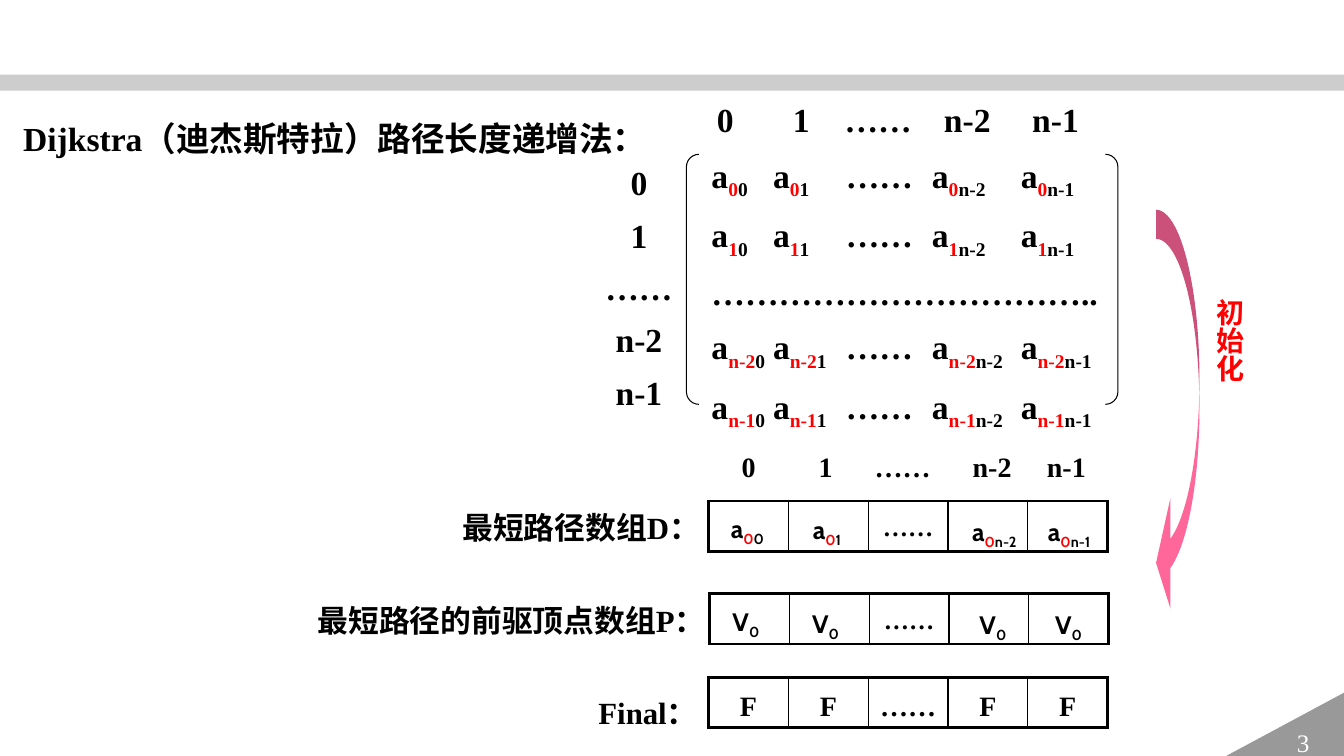
from dataclasses import dataclass
from typing import Optional

from lxml.etree import SubElement
from pptx import Presentation
from pptx.dml.color import RGBColor
from pptx.enum.shapes import MSO_SHAPE as Preset
from pptx.enum.text import MSO_ANCHOR as Anchor, MSO_AUTO_SIZE as AutoSize, PP_ALIGN as Align
from pptx.oxml.ns import qn
from pptx.util import Pt

BLACK, RED, WHITE = "000000", "FF0000", "FFFFFF"
SERIF, SANS = "Times New Roman", "Cabin"
DOTS = "……"
CELL_WIDTH, ROW_HEIGHT = 57, 36
THICK, THIN = 2.25, 1


@dataclass(frozen=True)
class Run:
    text: str
    color: Optional[str] = None
    subscript: bool = False


Line = list[Run]


@dataclass(frozen=True)
class TextBox:
    left: float
    top: float
    width: float
    height: float
    lines: list[Line]
    size: float = 24
    font: str = SERIF
    color: str = BLACK
    align: Align = Align.CENTER
    wrap: bool = True
    vertical: bool = False
    tabs: tuple[float, ...] = ()


@dataclass(frozen=True)
class ArrayTable:
    left: float
    top: float
    values: tuple[str, ...]
    size: float


def color(value: str) -> RGBColor:
    return RGBColor.from_string(value)


def plain(*texts: str) -> list[Line]:
    return [[Run(text)] for text in texts]


def entry(row: str, column: str) -> Line:
    return [Run("a"), Run(row, RED, True), Run(column, None, True)]


def matrix_row(row: str) -> Line:
    tab = Run("\t")
    return [*entry(row, "0"), tab, *entry(row, "1"), Run(f"\t{DOTS}\t"),
            *entry(row, "n-2"), tab, *entry(row, "n-1")]


def write_line(paragraph, line: Line, font: str, size: float, text_color: str,
               align: Align, tabs: tuple[float, ...] = ()) -> None:
    paragraph.alignment = align
    paragraph.line_spacing = 1.3
    if tabs:
        tab_list = SubElement(paragraph._p.get_or_add_pPr(), qn("a:tabLst"))
        for stop in tabs:
            SubElement(tab_list, qn("a:tab"), pos=str(Pt(stop)), algn="l")
    paragraph.font.name = font
    paragraph.font.size = Pt(size)
    paragraph.font.bold = True
    paragraph.font.color.rgb = color(text_color)
    for part in line:
        run = paragraph.add_run()
        run.text = part.text
        if part.color:
            run.font.color.rgb = color(part.color)
        if part.subscript:
            run.font._element.set("baseline", "-25000")


def draw_text(slide, box: TextBox) -> None:
    shape = slide.shapes.add_textbox(Pt(box.left), Pt(box.top), Pt(box.width), Pt(box.height))
    frame = shape.text_frame
    frame.word_wrap = box.wrap
    frame.auto_size = AutoSize.SHAPE_TO_FIT_TEXT
    if box.vertical:
        frame._txBody.bodyPr.set("vert", "eaVert")
    for index, line in enumerate(box.lines):
        paragraph = frame.add_paragraph() if index else frame.paragraphs[0]
        write_line(paragraph, line, box.font, box.size, box.color, box.align, box.tabs)


def draw_shape(slide, preset: Preset, left: float, top: float, width: float, height: float,
               fill: Optional[str] = None, line: Optional[str] = None,
               adjustments: tuple[float, ...] = ()):
    shape = slide.shapes.add_shape(preset, Pt(left), Pt(top), Pt(width), Pt(height))
    shape.shadow.inherit = False
    for index, value in enumerate(adjustments):
        shape.adjustments[index] = value
    if fill:
        shape.fill.solid()
        shape.fill.fore_color.rgb = color(fill)
    else:
        shape.fill.background()
    if line:
        shape.line.color.rgb = color(line)
        shape.line.width = Pt(0.75)
    else:
        shape.line.fill.background()
    return shape


def set_borders(cell, widths: dict[str, float]) -> None:
    properties = cell._tc.get_or_add_tcPr()
    for side, width in widths.items():
        border = SubElement(properties, qn(f"a:{side}"), w=str(Pt(width)))
        fill = SubElement(border, qn("a:solidFill"))
        SubElement(fill, qn("a:srgbClr"), val=BLACK)


def draw_array(slide, array: ArrayTable) -> None:
    count = len(array.values)
    table = slide.shapes.add_table(1, count, Pt(array.left), Pt(array.top),
                                   Pt(CELL_WIDTH * count), Pt(ROW_HEIGHT)).table
    table.first_row = False
    table.horz_banding = False
    for index, value in enumerate(array.values):
        table.columns[index].width = Pt(CELL_WIDTH)
        cell = table.cell(0, index)
        set_borders(cell, {
            "lnL": THICK if index == 0 else THIN,
            "lnR": THICK if index == count - 1 else THIN,
            "lnT": THICK,
            "lnB": THICK,
        })
        cell.fill.background()
        if value:
            write_line(cell.text_frame.paragraphs[0], [Run(value)], SERIF, array.size,
                       BLACK, Align.CENTER)


def draw_frame(slide) -> None:
    bar = draw_shape(slide, Preset.RECTANGLE, 0, 53.3, 960, 11.5, "A6A6A6")
    bar_color = bar._element.spPr.find(qn("a:solidFill")).find(qn("a:srgbClr"))
    SubElement(bar_color, qn("a:alpha"), val="56000")
    corner = draw_shape(slide, Preset.RIGHT_TRIANGLE, 872, 494.6, 88.5, 47.5, "999999")
    corner._element.spPr.find(qn("a:xfrm")).set("flipH", "1")
    corner.text_frame.vertical_anchor = Anchor.MIDDLE
    paragraph = corner.text_frame.paragraphs[0]
    paragraph.text = "3"
    paragraph.alignment = Align.CENTER
    paragraph.font.name = SERIF
    paragraph.font.size = Pt(18)
    paragraph.font.color.rgb = color(WHITE)


INDICES = ("0", "1", DOTS, "n-2", "n-1")
HEADER = plain("".join(f"\t{index}" for index in INDICES))
MATRIX = [matrix_row("0"), matrix_row("1"), [Run("……………………………..")],
          matrix_row("n-2"), matrix_row("n-1")]
V0 = [[Run("V"), Run("0", None, True)]]

ARRAYS = [
    ArrayTable(506.2, 357.8, ("", "", DOTS, "", ""), 18),
    ArrayTable(506.9, 424.1, ("", "", DOTS, "", ""), 18),
    ArrayTable(506.2, 483.8, ("F", "F", DOTS, "F", "F"), 20),
]

TEXTS = [
    TextBox(9.4, 72, 438.5, 41, plain("Dijkstra（迪杰斯特拉）路径长度递增法："), align=Align.LEFT),
    TextBox(501.1, 97.2, 318.2, 196.6, MATRIX, align=Align.LEFT, tabs=(44, 96, 157.5, 221)),
    TextBox(493.2, 58.3, 342, 45.4, HEADER, align=Align.LEFT, tabs=(11.7, 66, 103, 174, 237)),
    TextBox(415.4, 103.7, 82.1, 196.6, plain(*INDICES)),
    TextBox(217.4, 418.3, 295.9, 38.9, plain("最短路径的前驱顶点数组P："), 22),
    TextBox(308.9, 352.1, 212.4, 41.8, plain("最短路径数组D："), 22),
    TextBox(857.5, 206.6, 43.2, 126, plain("初始化"), 20, color=RED, vertical=True),
    TextBox(504.7, 310.3, 288, 45.4, HEADER, 20, align=Align.LEFT, tabs=(18, 73, 113, 183, 236)),
    TextBox(415.4, 483.8, 95, 41.8, plain("Final："), 22),
    *(TextBox(left, top, width, height, [entry("0", column)], 18, SANS, wrap=False)
      for column, left, top, width, height in (
          ("0", 513.4, 355.7, 41, 35.3), ("1", 570.2, 356.4, 41, 35.3),
          ("n-2", 683.3, 357.8, 54, 32.4), ("n-1", 736.6, 357.8, 54, 32.4))),
    *(TextBox(left, top, 34.6, 32.4, V0, 18, SANS, wrap=False)
      for left, top in ((515.5, 421.9), (572.4, 423.4), (691.9, 424.1), (745.9, 424.1))),
]


def main() -> None:
    presentation = Presentation()
    presentation.slide_width, presentation.slide_height = Pt(960), Pt(540)
    slide = presentation.slides.add_slide(presentation.slide_layouts[6])
    draw_frame(slide)
    draw_shape(slide, Preset.DOUBLE_BRACKET, 490.3, 110.2, 308.2, 178.6,
               line=BLACK, adjustments=(0.05,))
    draw_shape(slide, Preset.CURVED_LEFT_ARROW, 825.8, 149.8, 31, 291.6, "FF6699",
               adjustments=(0.67, 2.54, 0.33))
    for array in ARRAYS:
        draw_array(slide, array)
    for box in TEXTS:
        draw_text(slide, box)
    presentation.save("out.pptx")


if __name__ == "__main__":
    main()
